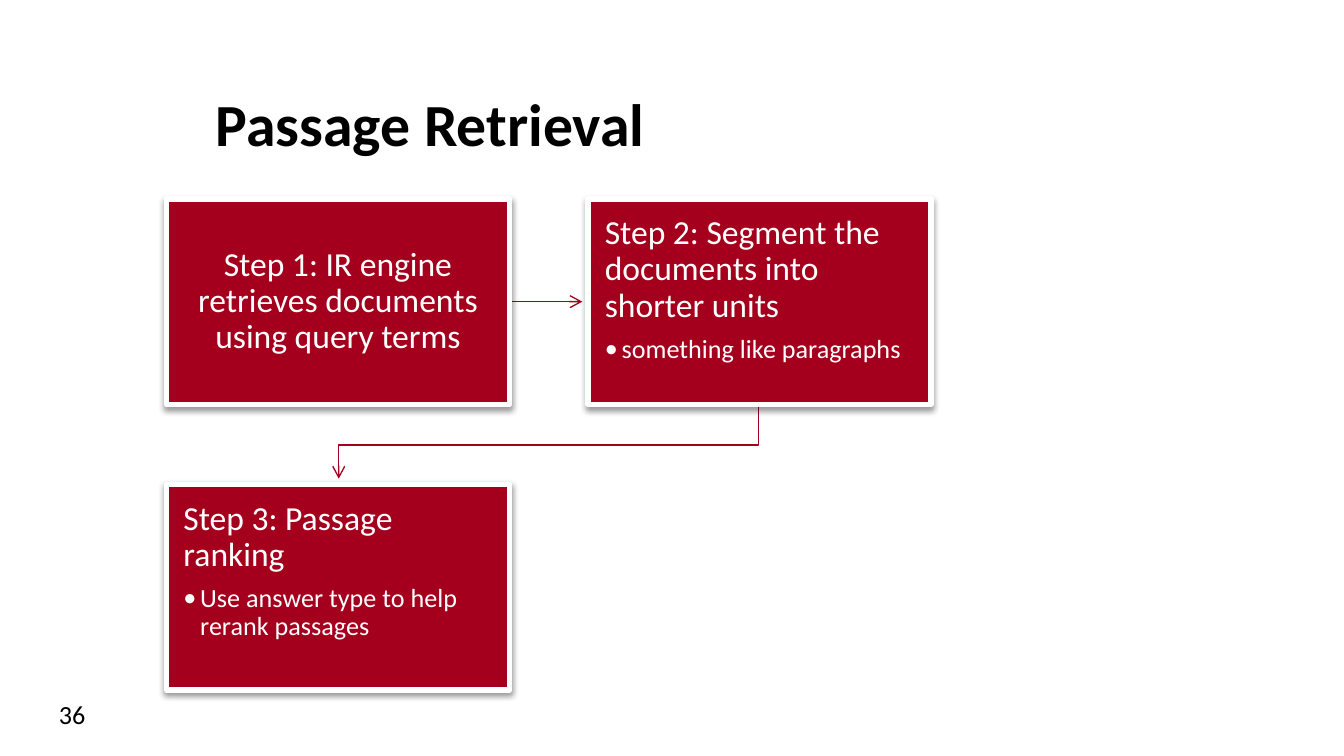
import pptx
import pptx.util
import pptx.dml.color
import pptx.enum.shapes
import pptx.enum.text
import pptx.oxml
import pptx.oxml.ns
from lxml import etree

PX = 9525  # 96 px to the inch
RED, WHITE, BLACK = "A4001D", "FFFFFF", "000000"
ALIGN = pptx.enum.text.PP_ALIGN
ANCHOR = pptx.enum.text.MSO_ANCHOR
WIDE, HIGH = 245, 147
GAP = 4  # arrows stop this far short of a box


def color(text):
    return pptx.dml.color.RGBColor.from_string(text)


def scale(*nums):
    return [round(num * PX) for num in nums]


def add(parent, tag, **attrs):
    node = etree.SubElement(parent, pptx.oxml.ns.qn(tag))
    for key, value in attrs.items():
        node.set(key, str(value))
    return node


def write(para, text, tint, **style):
    run = para.add_run()
    run.text = text
    run.font.color.rgb = color(tint)
    for key, value in {"name": "Calibri", **style}.items():
        setattr(run.font, key, value)


def set_frame(frame, anchor, across=10, down=5):
    left, top = scale(across, down)
    values = {
        "word_wrap": True, "auto_size": pptx.enum.text.MSO_AUTO_SIZE.NONE,
        "vertical_anchor": anchor, "margin_left": left, "margin_right": left,
        "margin_top": top, "margin_bottom": top,
    }
    for key, value in values.items():
        setattr(frame, key, value)


def add_title(slide, box, text):
    title = slide.shapes.title
    title.left, title.top, title.width, title.height = scale(*box)
    set_frame(title.text_frame, ANCHOR.BOTTOM)
    para = title.text_frame.paragraphs[0]
    para.alignment = ALIGN.LEFT
    write(para, text, BLACK, size=pptx.util.Pt(32), bold=True)


def add_number(slide, box, text):
    label = slide.shapes.add_textbox(*scale(*box))
    set_frame(label.text_frame, ANCHOR.TOP)
    para = label.text_frame.paragraphs[0]
    para.space_after = pptx.util.Pt(6)
    write(para, text, BLACK, size=pptx.util.Pt(14))


def add_step(slide, box, head, point=None):
    card = slide.shapes.add_shape(
        pptx.enum.shapes.MSO_SHAPE.RECTANGLE, *scale(*box))
    card.fill.solid()
    card.fill.fore_color.rgb = color(RED)
    card.line.color.rgb = color(WHITE)
    card.line.width = pptx.util.Pt(3)

    # Soft shadow below the card
    card.shadow.inherit = False
    effects = card._element.spPr.find(pptx.oxml.ns.qn("a:effectLst"))
    shade = add(effects, "a:outerShdw", blurRad=40000, dist=20000,
                dir=5400000, rotWithShape=0)
    add(add(shade, "a:srgbClr", val=BLACK), "a:alpha", val=38000)

    # Heading, with a bullet where there is one
    frame = card.text_frame
    set_frame(frame, ANCHOR.TOP if point else ANCHOR.MIDDLE, 12, 12)
    para = frame.paragraphs[0]
    para.alignment = ALIGN.LEFT if point else ALIGN.CENTER
    para.line_spacing = 0.9
    para.space_after = pptx.util.Pt(6)
    write(para, head, WHITE, size=pptx.util.Pt(18))
    if point:
        para = frame.add_paragraph()
        para.alignment = ALIGN.LEFT
        para.level = 1
        para.line_spacing = 0.9
        props = para._p.get_or_add_pPr()
        indent = scale(12)[0]
        props.set("marL", str(indent))
        props.set("indent", str(-indent))
        add(props, "a:buFont", typeface="Calibri")
        add(props, "a:buChar", char="•")
        write(para, point, WHITE, size=pptx.util.Pt(14))
    return card


def set_arrow(shape):
    shape.line.color.rgb = color(RED)
    shape.line.width = pptx.util.Pt(0.75)
    add(shape.line._get_or_add_ln(), "a:tailEnd", type="arrow")


def link_side(slide, start, end):
    line = slide.shapes.add_connector(
        pptx.enum.shapes.MSO_CONNECTOR.STRAIGHT, *scale(*start, *end))
    set_arrow(line)
    add(line._element.spPr, "a:effectLst")
    return line


def link_down(slide, start, end):
    middle = (start[1] + end[1] + GAP) / 2
    path = slide.shapes.build_freeform(*start, scale=PX)
    path.add_line_segments(
        [(start[0], middle), (end[0], middle), end], close=False)
    bend = path.convert_to_shape()
    bend.fill.background()
    bend.shadow.inherit = False
    set_arrow(bend)


def add_flow(slide, box):
    left, top, wide, high = box
    right, low = left + wide - WIDE, top + high - HIGH
    row = top + HIGH / 2

    # Arrows lie behind the cards they leave
    line = link_side(slide, (left + WIDE, row), (right - GAP, row))
    link_down(slide, (right + WIDE / 2, top + HIGH),
              (left + WIDE / 2, low - GAP))
    first = add_step(slide, (left, top, WIDE, HIGH),
                     "Step 1: IR engine retrieves documents using query terms")
    line.begin_connect(first, 3)
    add_step(slide, (right, top, WIDE, HIGH),
             "Step 2: Segment the documents into shorter units",
             "something like paragraphs")
    add_step(slide, (left, low, WIDE, HIGH), "Step 3: Passage ranking",
             "Use answer type to help rerank passages")


def main():
    deck = pptx.Presentation()
    deck.slide_width, deck.slide_height = scale(960, 540)
    slide = deck.slides.add_slide(deck.slide_layouts[5])
    add_title(slide, (144, 40, 784, 78), "Passage Retrieval")
    add_number(slide, (32, 494, 208, 36), "36")
    add_flow(slide, (119, 142, 546, 351))
    deck.save("out.pptx")


if __name__ == "__main__":
    main()
